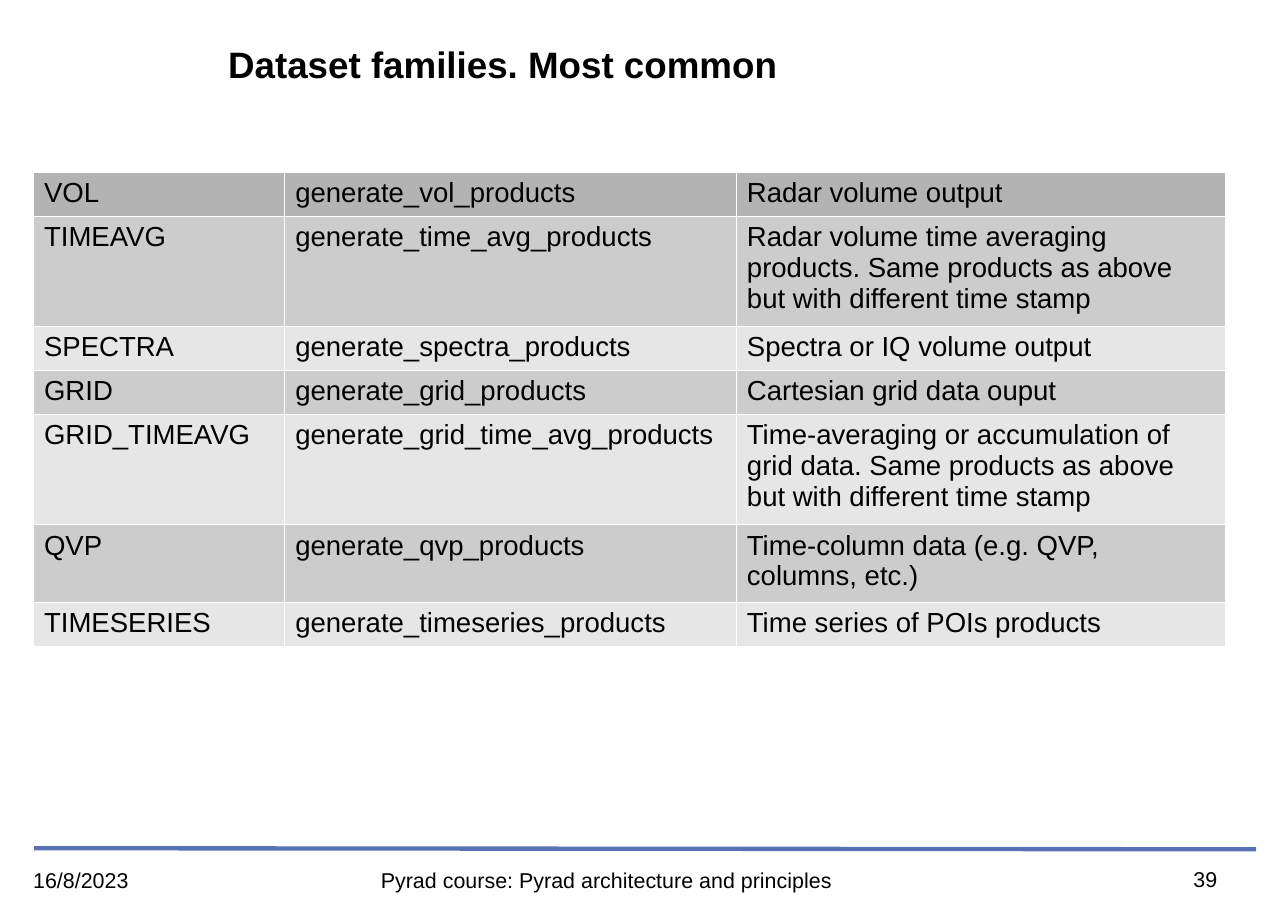
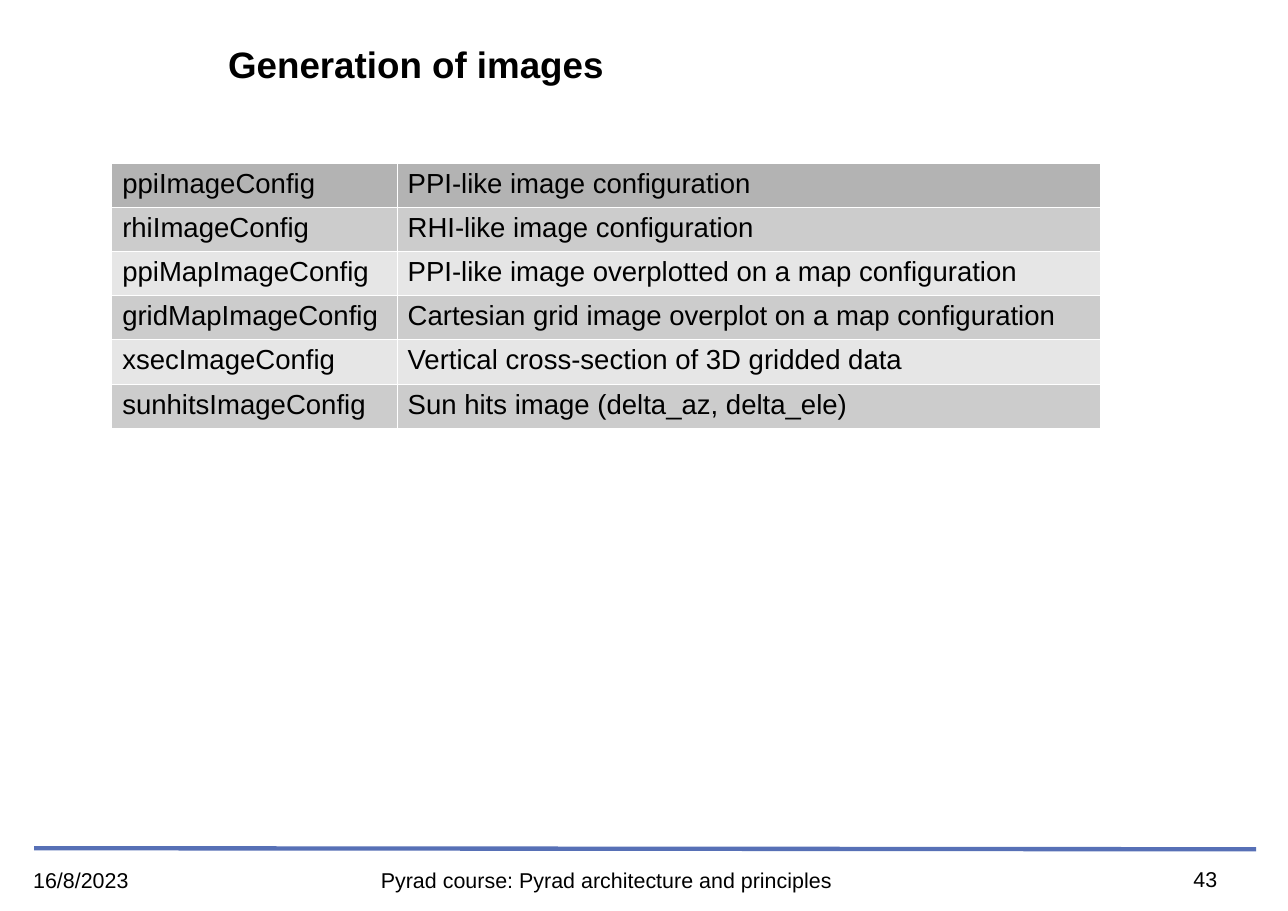
import pptx
import pptx.dml.color
import pptx.enum.shapes
import pptx.enum.text
import pptx.util
from lxml import etree

BLACK, WHITE, RULE_BLUE = "000000", "FFFFFF", "5770B6"
HEADER_GREY, ODD_GREY, EVEN_GREY = "B3B3B3", "CCCCCC", "E6E6E6"
FONT = "Arial"
BORDER_WIDTH = pptx.util.Pt(0.06)
NS = "http://schemas.openxmlformats.org/drawingml/2006/main"
LEFT = pptx.enum.text.PP_ALIGN.LEFT
CENTER = pptx.enum.text.PP_ALIGN.CENTER

deck = pptx.Presentation()
deck.slide_width = pptx.util.Inches(11.69)
deck.slide_height = pptx.util.Inches(8.27)
COLUMN = deck.slide_width / 100
ROW = deck.slide_height / 100
ROW_HEIGHT = round(4.6 * ROW)


def color(hex_code):
    return pptx.dml.color.RGBColor.from_string(hex_code)


def write(paragraph, text, size, bold=False, align=LEFT):
    paragraph.alignment = align
    run = paragraph.add_run()
    run.text = text
    run.font.name = FONT
    run.font.size = pptx.util.Pt(size)
    run.font.bold = bold
    run.font.color.rgb = color(BLACK)


pages = [
    {
        "title": "Dataset families. Most common",
        "number": "39",
        "corner": (2.57, 18.86),
        "columns": (19.5, 35.07, 37.98),
        "rows": [
            ("VOL", "generate_vol_products", "Radar volume output"),
            ("TIMEAVG", "generate_time_avg_products",
             "Radar volume time averaging products. Same products as above but with different time stamp"),
            ("SPECTRA", "generate_spectra_products", "Spectra or IQ volume output"),
            ("GRID", "generate_grid_products", "Cartesian grid data ouput"),
            ("GRID_TIMEAVG", "generate_grid_time_avg_products",
             "Time-averaging or accumulation of grid data. Same products as above but with different time stamp"),
            ("QVP", "generate_qvp_products", "Time-column data (e.g. QVP, columns, etc.)"),
            ("TIMESERIES", "generate_timeseries_products", "Time series of POIs products"),
        ],
    },
    {
        "title": "Generation of images",
        "number": "43",
        "corner": (8.64, 17.9),
        "columns": (22.16, 54.58),
        "rows": [
            ("ppiImageConfig", "PPI-like image configuration"),
            ("rhiImageConfig", "RHI-like image configuration"),
            ("ppiMapImageConfig", "PPI-like image overplotted on a map configuration"),
            ("gridMapImageConfig", "Cartesian grid image overplot on a map configuration"),
            ("xsecImageConfig", "Vertical cross-section of 3D gridded data"),
            ("sunhitsImageConfig", "Sun hits image (delta_az, delta_ele)"),
        ],
    },
]

for page in pages:
    slide = deck.slides.add_slide(deck.slide_layouts[6])
    slide.background.fill.solid()
    slide.background.fill.fore_color.rgb = color(WHITE)

    footer_rule = slide.shapes.add_connector(
        pptx.enum.shapes.MSO_CONNECTOR.STRAIGHT,
        round(2.65 * COLUMN), round(93.11 * ROW), round(97.52 * COLUMN), round(93.23 * ROW))
    footer_rule.line.color.rgb = color(RULE_BLUE)
    footer_rule.line.width = pptx.util.Pt(2.83)
    etree.SubElement(footer_rule._element.spPr, f"{{{NS}}}effectLst")

    for text, left, top, width, height, size, align in [
        (page["title"], 17.71, 3.26, 79.04, 8.1, 24, LEFT),
        ("Pyrad course: Pyrad architecture and principles", 12.75, 95.16, 68.69, 4.72, 14, CENTER),
        (page["number"], 88.71, 95.06, 9.75, 4.72, 14, CENTER),
        ("16/8/2023", 2.57, 95.16, 23.27, 4.72, 14, LEFT),
    ]:
        box = slide.shapes.add_textbox(
            round(left * COLUMN), round(top * ROW), round(width * COLUMN), round(height * ROW))
        frame = box.text_frame
        frame.word_wrap = True
        frame.margin_left = frame.margin_right = frame.margin_top = frame.margin_bottom = 0
        is_title = text == page["title"]
        if is_title:
            frame.vertical_anchor = pptx.enum.text.MSO_ANCHOR.MIDDLE
            frame.paragraphs[0].line_spacing = 0.9
        write(frame.paragraphs[0], text, size, is_title, align)

    left, top = page["corner"]
    entries, widths = page["rows"], page["columns"]
    table = slide.shapes.add_table(
        len(entries), len(widths), round(left * COLUMN), round(top * ROW),
        round(sum(widths) * COLUMN), ROW_HEIGHT * len(entries)).table
    table.first_row = table.horz_banding = False
    for table_column, width in zip(table.columns, widths):
        table_column.width = round(width * COLUMN)

    for row_index, entry in enumerate(entries):
        table.rows[row_index].height = ROW_HEIGHT
        shade = HEADER_GREY if row_index == 0 else (EVEN_GREY, ODD_GREY)[row_index % 2]
        for column_index, text in enumerate(entry):
            cell = table.cell(row_index, column_index)
            write(cell.text_frame.paragraphs[0], text, 18)
            properties = cell._tc.get_or_add_tcPr()
            for side in ("lnL", "lnR", "lnT", "lnB"):
                border = etree.SubElement(properties, f"{{{NS}}}{side}", w=str(BORDER_WIDTH))
                border_fill = etree.SubElement(border, f"{{{NS}}}solidFill")
                etree.SubElement(border_fill, f"{{{NS}}}srgbClr", val=WHITE)
            cell.fill.solid()
            cell.fill.fore_color.rgb = color(shade)

deck.save("out.pptx")
